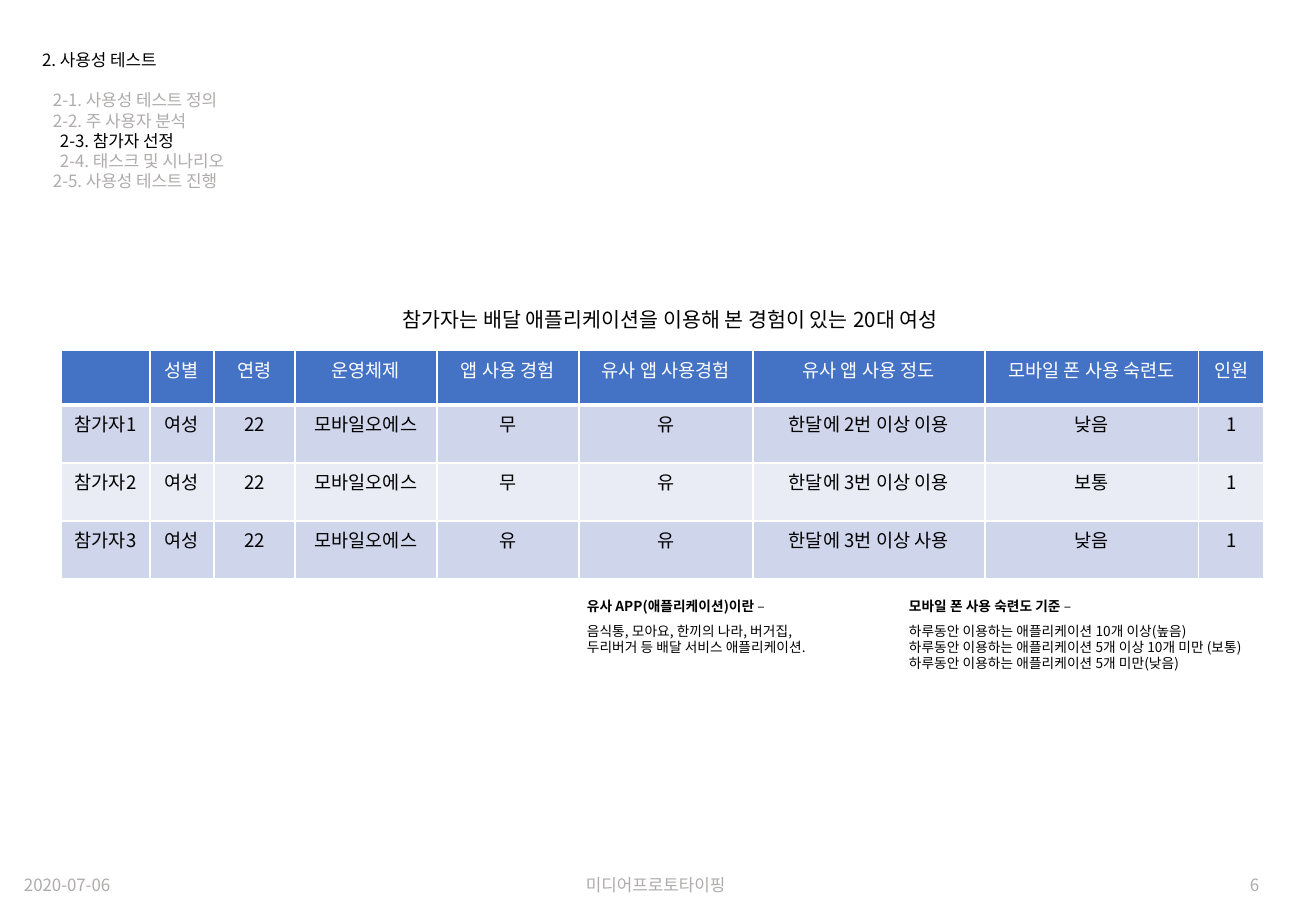
from dataclasses import dataclass

from lxml.etree import SubElement
from pptx import Presentation
from pptx.dml.color import RGBColor as RGB
from pptx.enum.text import MSO_ANCHOR as Anchor, MSO_AUTO_SIZE as AutoSize, PP_ALIGN as Align
from pptx.oxml.ns import qn
from pptx.util import Pt

PX = 7526


@dataclass(frozen=True)
class Theme:
    font: str = "Noto Sans CJK KR"
    ink: str = "000000"
    muted: str = "AFABAB"
    white: str = "FFFFFF"
    header: str = "4472C4"
    bands: tuple = ("CFD5EA", "E9EBF5")
    body: float = 10
    summary: float = 12.2
    note: float = 8.1
    cell: float = 11
    cell_line: float = 15
    note_gap: float = 4.9


THEME = Theme()

AGENDA = [
    ("2-1. 사용성 테스트 정의", 11),
    ("2-2. 주 사용자 분석", 11),
    ("2-3. 참가자 선정", 18),
    ("2-4. 태스크 및 시나리오", 18),
    ("2-5. 사용성 테스트 진행", 11),
]
CURRENT = 2

FOOTER = [
    ("2020-07-06", 12, 119),
    ("미디어프로토타이핑", 574, 169),
    ("6", 1238, 67),
]

COLUMNS = [89, 64, 81, 142, 142, 174, 232, 214, 65]
ROWS = [55, 58, 58, 58]
PARTICIPANTS = [
    ["", "성별", "연령", "운영체제", "앱 사용 경험", "유사 앱 사용경험",
     "유사 앱 사용 정도", "모바일 폰 사용 숙련도", "인원"],
    ["참가자1", "여성", "22", "모바일오에스", "무", "유", "한달에 2번 이상 이용", "낮음", "1"],
    ["참가자2", "여성", "22", "모바일오에스", "무", "유", "한달에 3번 이상 이용", "보통", "1"],
    ["참가자3", "여성", "22", "모바일오에스", "유", "유", "한달에 3번 이상 사용", "낮음", "1"],
]


def px(*lengths):
    return [n * PX for n in lengths]


def style(p, size, color, line=None):
    p.line_spacing = Pt(line or round(size * 1.2, 1))
    p.font.size = Pt(size)
    p.font.color.rgb = RGB.from_string(color)
    p.font.name = THEME.font
    SubElement(p._p.pPr.find(qn("a:defRPr")), qn("a:ea"), typeface=THEME.font)


def add_lines(s, box, lines, size, color, wrap=False):
    tf = s.shapes.add_textbox(*px(*box)).text_frame
    tf.word_wrap = wrap
    for i, line in enumerate(lines):
        p = tf.paragraphs[0] if i == 0 else tf.add_paragraph()
        p.text = line
        style(p, size, color)
    return tf


def add_title(s, text, box):
    sp = s.shapes.title
    sp.left, sp.top, sp.width, sp.height = px(*box)
    tf = sp.text_frame
    tf.text = text
    tf.auto_size = AutoSize.NONE
    tf.vertical_anchor = Anchor.TOP
    p = tf.paragraphs[0]
    p.alignment = Align.LEFT
    style(p, THEME.body, THEME.ink)


def add_agenda(s, box):
    tf = add_lines(s, box, [text for text, _ in AGENDA], THEME.body, THEME.muted, True)
    for p, (_, indent) in zip(tf.paragraphs, AGENDA):
        p._p.pPr.set("marL", str(indent * PX))
    tf.paragraphs[CURRENT].font.color.rgb = RGB.from_string(THEME.ink)


def add_note(s, box, heading, lines, wrap=False):
    tf = add_lines(s, box, [heading, *lines], THEME.note, THEME.ink, wrap)
    p = tf.paragraphs[0]
    p.runs[0].font.bold = True
    r = p.add_run()
    r.text = "–"
    r.font.bold = False
    tf.paragraphs[1].space_before = Pt(THEME.note_gap)


def add_borders(cell, bottom):
    tcPr = cell._tc.get_or_add_tcPr()
    for side, width in (("L", 1), ("R", 1), ("T", 1), ("B", bottom)):
        ln = SubElement(tcPr, qn(f"a:ln{side}"), w=str(Pt(width)))
        fill = SubElement(ln, qn("a:solidFill"))
        SubElement(fill, qn("a:srgbClr"), val=THEME.white)


def fill_cell(cell, text, fill, color, bottom):
    add_borders(cell, bottom)
    cell.fill.solid()
    cell.fill.fore_color.rgb = RGB.from_string(fill)
    cell.margin_left, cell.margin_right, cell.margin_top, cell.margin_bottom = px(13, 13, 7, 0)
    p = cell.text_frame.paragraphs[0]
    p.text = text
    p.alignment = Align.CENTER
    style(p, THEME.cell, color, THEME.cell_line)


def add_participants(s, left, top):
    box = px(left, top, sum(COLUMNS), sum(ROWS))
    table = s.shapes.add_table(len(ROWS), len(COLUMNS), *box).table
    for column, width in zip(table.columns, COLUMNS):
        column.width = width * PX
    for i, (height, texts) in enumerate(zip(ROWS, PARTICIPANTS)):
        table.rows[i].height = height * PX
        if i == 0:
            look = THEME.header, THEME.white, 3
        else:
            look = THEME.bands[(i - 1) % 2], THEME.ink, 1
        for j, text in enumerate(texts):
            fill_cell(table.cell(i, j), text, *look)


def main():
    prs = Presentation()
    prs.slide_width, prs.slide_height = px(1316, 911)
    s = prs.slides.add_slide(prs.slide_layouts[5])
    add_title(s, "2. 사용성 테스트", (30, 44, 330, 33))
    add_agenda(s, (30, 84, 330, 115))
    add_lines(s, (391, 301, 592, 38), ["참가자는 배달 애플리케이션을 이용해 본 경험이 있는 20대 여성"],
              THEME.summary, THEME.ink)
    add_participants(s, 61, 350)
    add_note(s, (575, 592, 252, 70), "유사 APP(애플리케이션)이란 ", [
        "음식통, 모아요, 한끼의 나라, 버거집,",
        "두리버거 등 배달 서비스 애플리케이션.",
    ])
    add_note(s, (897, 592, 372, 107), "모바일 폰 사용 숙련도 기준 ", [
        "하루동안 이용하는 애플리케이션 10개 이상(높음)",
        "하루동안 이용하는 애플리케이션 5개 이상 10개 미만 (보통)",
        "하루동안 이용하는 애플리케이션 5개 미만(낮음)",
    ], True)
    for text, left, width in FOOTER:
        add_lines(s, (left, 869, width, 33), [text], THEME.body, THEME.muted)
    prs.save("out.pptx")


if __name__ == "__main__":
    main()
